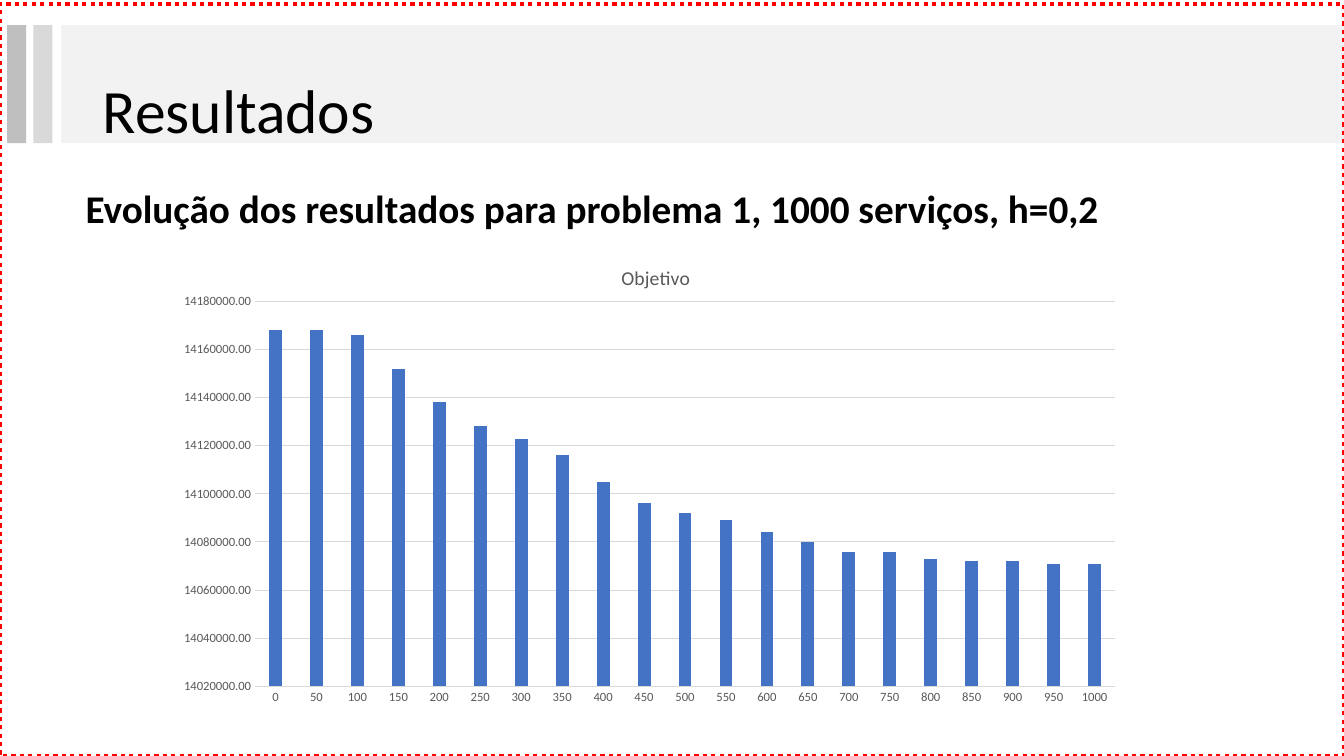
from dataclasses import dataclass

from lxml import etree
from pptx import Presentation, util as u
from pptx.chart.data import CategoryChartData
from pptx.dml.color import RGBColor
from pptx.enum import chart as ch, dml, shapes, text
from pptx.oxml.ns import qn


@dataclass(frozen=True)
class Theme:
    font: str = "Calibri"
    ink: str = "000000"
    muted: str = "595959"
    grid: str = "D9D9D9"
    column: str = "4472C4"
    frame: str = "FF0000"
    band: str = "F2F2F2"
    light_stripe: str = "D9D9D9"
    dark_stripe: str = "BFBFBF"
    title_size: int = 44
    heading_size: int = 28
    chart_title_size: int = 14
    axis_size: int = 9


def inches(*lengths):
    return [u.Inches(length) for length in lengths]


def apply(target, values):
    for name, value in values.items():
        setattr(target, name, value)


class SlideBuilder:
    def __init__(self, slide, theme):
        self.slide, self.theme = slide, theme

    def style_font(self, font, size, color, bold=False):
        apply(font, {"name": self.theme.font, "size": u.Pt(size), "bold": bold})
        font.color.rgb = RGBColor.from_string(color)

    def style_line(self, line, color, width):
        line.color.rgb = RGBColor.from_string(color)
        line.width = u.Pt(width)

    def bars(self, specs):
        group = self.slide.shapes.add_group_shape()
        for box, color in specs:
            bar = group.shapes.add_shape(shapes.MSO_SHAPE.RECTANGLE, *inches(*box))
            bar.shadow.inherit = False
            bar.fill.solid()
            bar.fill.fore_color.rgb = RGBColor.from_string(color)
            bar.line.fill.background()

    def text(self, box, words, size, anchor, bold=False):
        frame = self.slide.shapes.add_textbox(*inches(*box)).text_frame
        apply(frame, {"word_wrap": True, "vertical_anchor": anchor})
        paragraph = frame.paragraphs[0]
        paragraph.line_spacing = 0.9
        run = paragraph.add_run()
        run.text = words
        self.style_font(run.font, size, self.theme.ink, bold)

    def frame(self, box):
        border = self.slide.shapes.add_shape(shapes.MSO_SHAPE.RECTANGLE, *inches(*box))
        border.shadow.inherit = False
        border.fill.background()
        self.style_line(border.line, self.theme.frame, 3)
        border.line.dash_style = dml.MSO_LINE.ROUND_DOT

    def columns(self, box, name, categories, values, scale, plot_box):
        theme = self.theme
        data = CategoryChartData(number_format="0.00")
        data.categories = categories
        data.add_series(name, values)
        chart = self.slide.shapes.add_chart(
            ch.XL_CHART_TYPE.COLUMN_CLUSTERED, *inches(*box), data).chart
        chart.has_legend = False
        self.style_font(chart.font, theme.axis_size, theme.muted)

        # Chart title
        chart.has_title = True
        chart.chart_title.include_in_layout = False
        title = chart.chart_title.text_frame
        title.text = name
        self.style_font(title.paragraphs[0].runs[0].font,
                        theme.chart_title_size, theme.muted)

        # Axes
        for axis in (chart.category_axis, chart.value_axis):
            apply(axis, {"major_tick_mark": ch.XL_TICK_MARK.NONE,
                         "minor_tick_mark": ch.XL_TICK_MARK.NONE})
            self.style_font(axis.tick_labels.font, theme.axis_size, theme.muted)
        self.style_line(chart.category_axis.format.line, theme.grid, 0.75)
        apply(chart.value_axis, scale)
        apply(chart.value_axis.tick_labels,
              {"number_format": "0.00", "number_format_is_linked": False})
        chart.value_axis.format.line.fill.background()
        self.style_line(chart.value_axis.major_gridlines.format.line, theme.grid, 0.75)

        # Columns
        plot = chart.plots[0]
        apply(plot, {"gap_width": 219, "overlap": -27, "vary_by_categories": False})
        series = plot.series[0]
        series.invert_if_negative = False
        series.format.fill.solid()
        series.format.fill.fore_color.rgb = RGBColor.from_string(theme.column)
        chart_width, chart_height = box[2:]
        self.place_plot(chart, [length / whole for length, whole in
                                zip(plot_box, (chart_width, chart_height) * 2)])

    def place_plot(self, chart, fractions):
        area = chart.element.find(".//" + qn("c:plotArea"))
        layout = area.find(qn("c:layout"))
        if layout is None:
            layout = etree.Element(qn("c:layout"))
            area.insert(0, layout)
        manual = etree.SubElement(layout, qn("c:manualLayout"))
        settings = {"layoutTarget": "inner", "xMode": "edge", "yMode": "edge",
                    **dict(zip("xywh", fractions))}
        for tag, value in settings.items():
            etree.SubElement(manual, qn("c:" + tag)).set("val", str(value))


def main():
    theme = Theme()
    deck = Presentation()
    apply(deck, {"slide_width": u.Inches(13.33), "slide_height": u.Inches(7.5)})
    builder = SlideBuilder(deck.slides.add_slide(deck.slide_layouts[6]), theme)

    # Title band with its two stripes
    band_top, band_height = 0.25, 1.17
    builder.bars([((left, band_top, width, band_height), color)
                  for left, width, color in ((0.61, 12.72, theme.band),
                                             (0.33, 0.19, theme.light_stripe),
                                             (0.07, 0.19, theme.dark_stripe))])
    builder.text((0.92, 0.4, 11.5, 1.45), "Resultados", theme.title_size,
                 text.MSO_ANCHOR.MIDDLE)

    # Objective value, in thousands, every 50 iterations
    thousands = [14168, 14168, 14166, 14152, 14138, 14128, 14123,
                 14116, 14105, 14096, 14092, 14089, 14084, 14080,
                 14076, 14076, 14073, 14072, 14072, 14071, 14071]
    objective = [1000 * value for value in thousands]
    iterations = [str(50 * step) for step in range(len(objective))]
    builder.columns((1.73, 2.44, 9.55, 4.66), "Objetivo", iterations, objective,
                    {"minimum_scale": 14020000, "maximum_scale": 14180000,
                     "major_unit": 20000},
                    (0.8, 0.55, 8.53, 3.82))

    # Heading
    builder.text((0.75, 1.83, 11.5, 4.76),
                 "Evolução dos resultados para problema 1, 1000 serviços, h=0,2",
                 theme.heading_size, text.MSO_ANCHOR.TOP, bold=True)

    # Dotted frame around the slide
    builder.frame((0, 0.04, 13.33, 7.46))
    deck.save("out.pptx")


if __name__ == "__main__":
    main()
